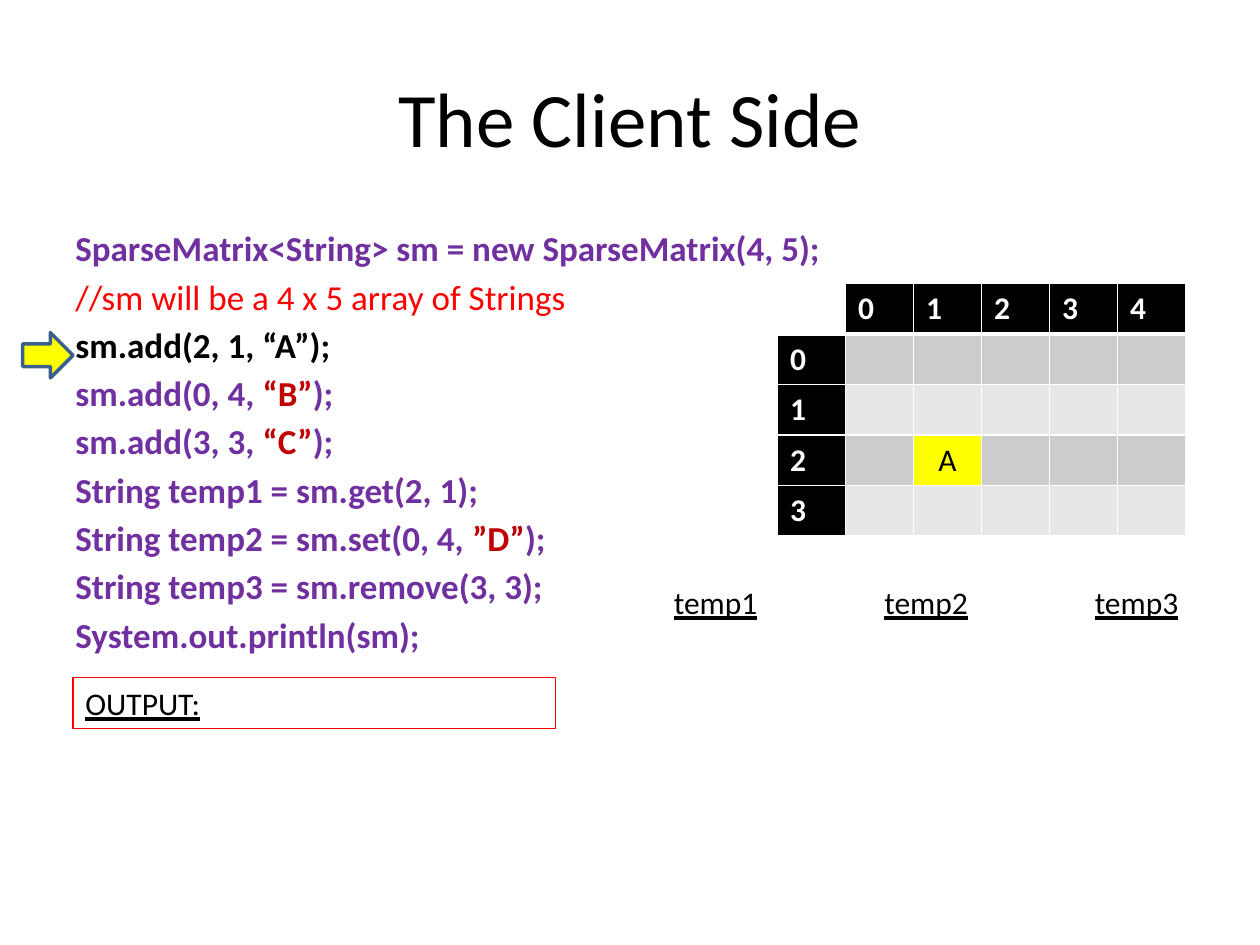
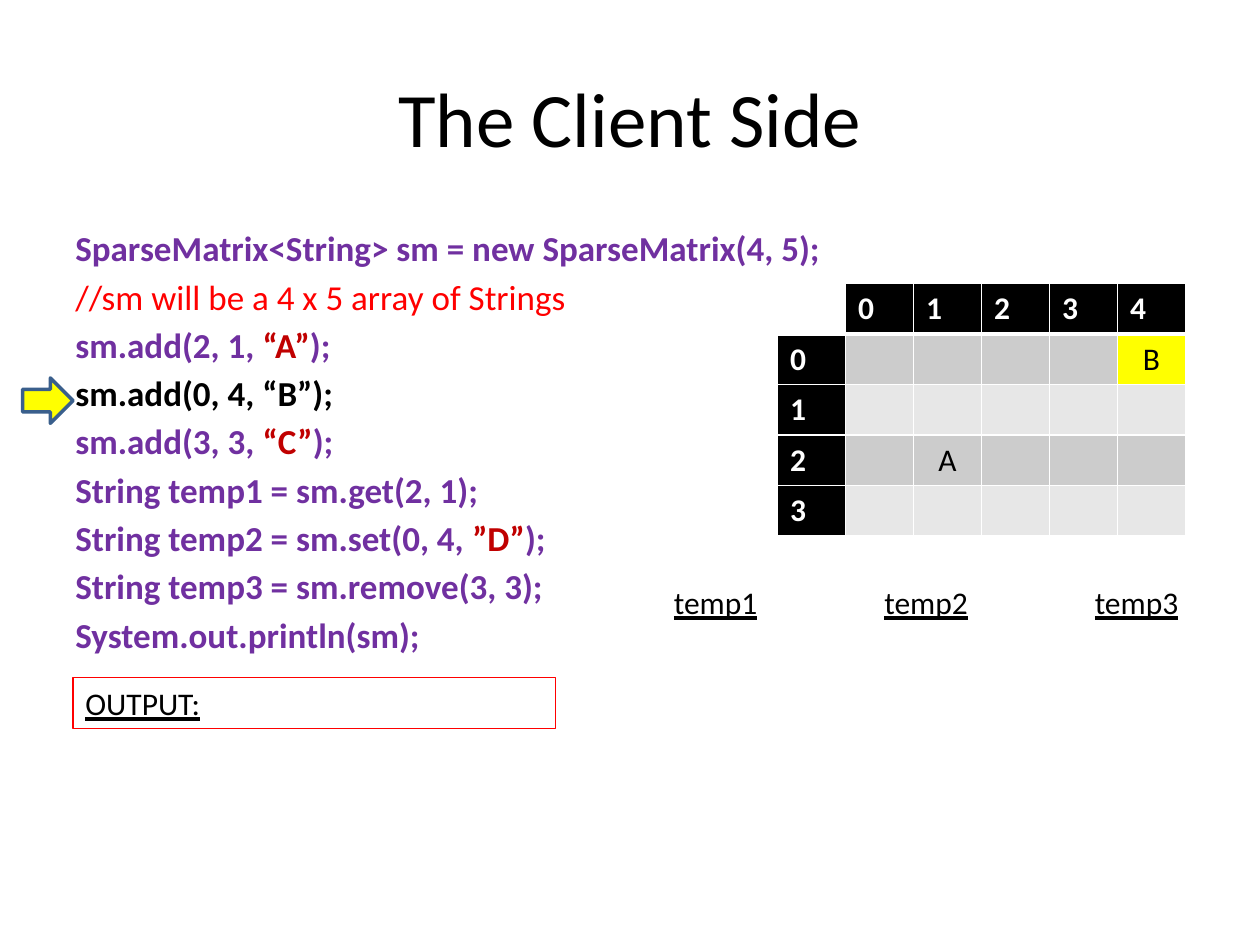
"""Build two slides that step through client code for a sparse matrix."""
from lxml import etree
from pptx import Presentation
from pptx.dml.color import RGBColor
from pptx.enum.shapes import MSO_SHAPE
from pptx.enum.text import MSO_ANCHOR, PP_ALIGN
from pptx.oxml import parse_xml
from pptx.oxml.ns import nsdecls, qn
from pptx.util import Inches, Pt

RECTANGLE, RIGHT_ARROW = MSO_SHAPE.RECTANGLE, MSO_SHAPE.RIGHT_ARROW
MIDDLE, CENTER, LEFT = MSO_ANCHOR.MIDDLE, PP_ALIGN.CENTER, PP_ALIGN.LEFT

FONT = "Calibri"
COLORS = {
    "black": "000000", "white": "FFFFFF", "code": "7030A0", "literal": "C00000",
    "red": "FF0000", "highlight": "FFFF00", "arrow_edge": "3A5F8C",
    "band_dark": "CCCCCC", "band_light": "E7E7E7",
}
CODE_LINES = [
    ["SparseMatrix<String> sm = new SparseMatrix(4, 5);"],
    ["//sm will be a 4 x 5 array of Strings"],
    ["sm.add(2, 1, ", "“A”", ");"],
    ["sm.add(0, 4, ", "“B”", ");"],
    ["sm.add(3, 3, ", "“C”", ");"],
    ["String temp1 = sm.get(2, 1);"],
    ["String temp2 = sm.set(0, 4, ", "”D”", ");"],
    ["String temp3 = sm.remove(3, 3);"],
    ["System.out.println(sm);"],
]
COMMENT_LINE = 1
MATRIX_ROWS, MATRIX_COLUMNS = 4, 5
STEPS = [
    {"line": 2, "entries": {(2, 1): "A"}, "changed": (2, 1)},
    {"line": 3, "entries": {(2, 1): "A", (0, 4): "B"}, "changed": (0, 4)},
]


def color(name):
    return RGBColor.from_string(COLORS[name])


def style(run, size, color_name, bold=False, underline=False):
    run.font.name = FONT
    run.font.size = Pt(size)
    run.font.color.rgb = color(color_name)
    run.font.bold = bold
    run.font.underline = underline


deck = Presentation()
deck.slide_width, deck.slide_height = Inches(10), Inches(7.5)

for step in STEPS:
    slide = deck.slides.add_slide(deck.slide_layouts[6])
    shapes = slide.shapes

    title = shapes.add_textbox(Inches(0.5), Inches(0.3), Inches(9), Inches(1.25)).text_frame
    title.word_wrap = True
    title.vertical_anchor = MIDDLE
    title.text = "The Client Side"
    title.paragraphs[0].alignment = CENTER
    style(title.paragraphs[0].runs[0], 44, "black")

    code = shapes.add_textbox(Inches(0.5), Inches(1.75), Inches(9), Inches(4.95)).text_frame
    code.word_wrap = True
    for number, pieces in enumerate(CODE_LINES):
        line = code.paragraphs[0] if number == 0 else code.add_paragraph()
        line.space_before = Pt(3.6)
        is_current = number == step["line"]
        for position, piece in enumerate(["".join(pieces)] if is_current else pieces):
            run = line.add_run()
            run.text = piece
            if is_current:
                run_color = "black"
            elif number == COMMENT_LINE:
                run_color = "red"
            else:
                run_color = "literal" if position == 1 else "code"
            style(run, 20, run_color, bold=number != COMMENT_LINE)

    matrix = shapes.add_table(MATRIX_ROWS + 1, MATRIX_COLUMNS + 1,
                              Inches(6.17), Inches(2.25), Inches(3.24), Inches(2)).table
    matrix.first_row = matrix.horz_banding = False
    for column in matrix.columns:
        column.width = Inches(0.54)
    for r, row in enumerate(matrix.rows):
        row.height = Inches(0.4)
        for c, cell in enumerate(row.cells):
            entry = (r - 1, c - 1)
            is_header = r == 0 or c == 0
            if r == 0 and c == 0:
                text, fill = "", "white"
            elif is_header:
                text, fill = str(c - 1 if r == 0 else r - 1), "black"
            else:
                text = step["entries"].get(entry, "")
                fill = "band_dark" if r % 2 else "band_light"
                if entry == step["changed"]:
                    fill = "highlight"
            properties = cell._tc.get_or_add_tcPr()
            for side in "LRTB":
                thick = (r, side) in ((0, "B"), (1, "T"))
                properties.append(parse_xml(
                    f'<a:ln{side} {nsdecls("a")} w="{Pt(3 if thick else 1)}"><a:solidFill>'
                    f'<a:srgbClr val="{COLORS["white"]}"/></a:solidFill></a:ln{side}>'))
            cell.fill.solid()
            cell.fill.fore_color.rgb = color(fill)
            if text:
                cell.text = text
                label = cell.text_frame.paragraphs[0]
                label.alignment = LEFT if is_header else CENTER
                style(label.runs[0], 18, "white" if is_header else "black", bold=is_header)

    variables = shapes.add_textbox(Inches(5.25), Inches(4.58), Inches(4.25), Inches(0.4)).text_frame
    variables.word_wrap = True
    names = variables.paragraphs[0]
    for piece in ("temp1", "\t", "temp2", "\t", "temp3"):
        run = names.add_run()
        run.text = piece
        style(run, 18, "black", underline=piece != "\t")
    tab_list = etree.SubElement(names._p.get_or_add_pPr(), qn("a:tabLst"))
    for stop in (1, 2):
        etree.SubElement(tab_list, qn("a:tab"), pos=str(Inches(1.67 * stop)), algn="l")

    output = shapes.add_shape(RECTANGLE, Inches(0.58), Inches(5.38), Inches(3.83), Inches(0.4))
    output.shadow.inherit = False
    output.fill.background()
    output.line.color.rgb = color("red")
    output.line.width = Pt(0.75)
    output.text_frame.text = "OUTPUT:"
    output.text_frame.paragraphs[0].alignment = LEFT
    style(output.text_frame.paragraphs[0].runs[0], 18, "black", underline=True)

    arrow_top = 2.64 + 0.36 * (step["line"] - STEPS[0]["line"])
    arrow = shapes.add_shape(RIGHT_ARROW, Inches(0.18), Inches(arrow_top), Inches(0.4), Inches(0.36))
    arrow.shadow.inherit = False
    arrow.fill.solid()
    arrow.fill.fore_color.rgb = color("highlight")
    arrow.line.color.rgb = color("arrow_edge")
    arrow.line.width = Pt(2)

deck.save("out.pptx")
